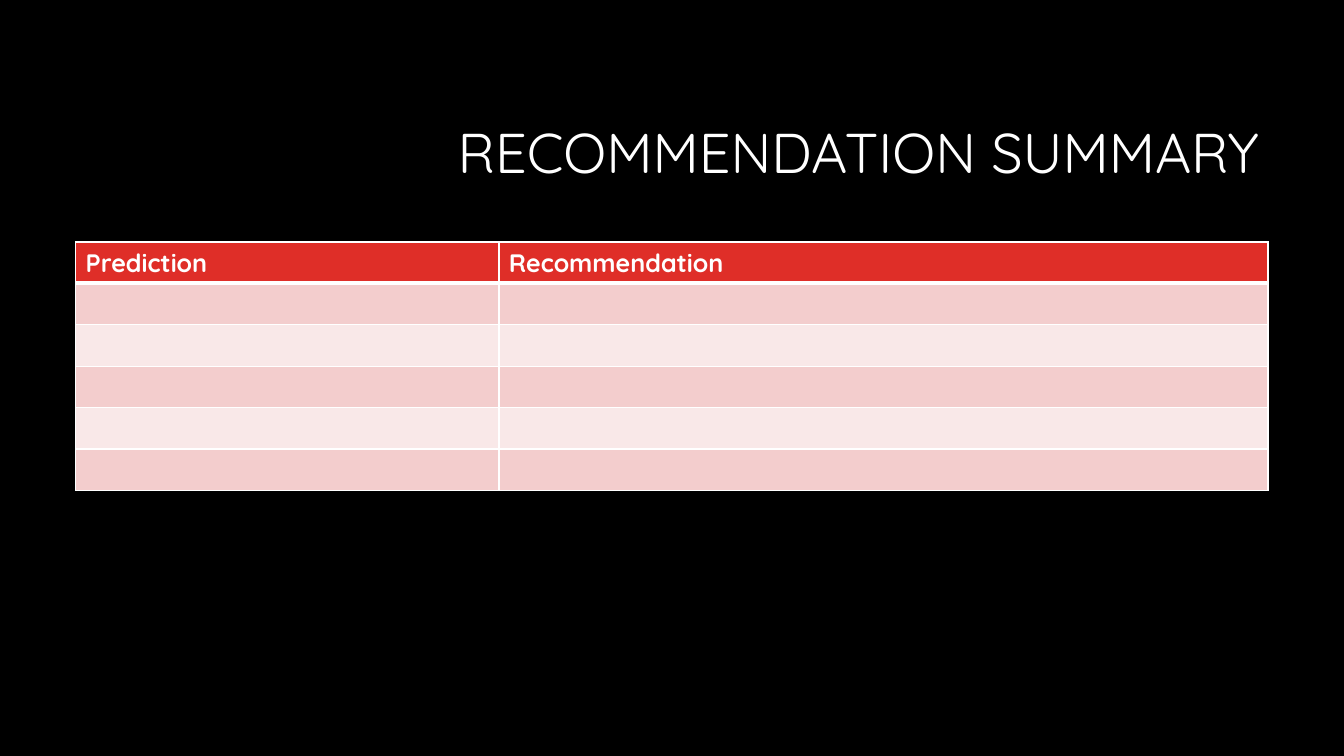
from dataclasses import dataclass
from typing import Any

from lxml.etree import SubElement
from pptx import Presentation
from pptx.dml.color import RGBColor as Color
from pptx.enum.text import MSO_ANCHOR as Anchor, PP_ALIGN as Align
from pptx.oxml.ns import qn
from pptx.util import Pt

COLORS = {
    "background": "000000",
    "white": "FFFFFF",
    "header": "DF2E28",
    "band_dark": "F3CDCD",
    "band_light": "F9E8E8",
}
FONT = "Quicksand"
HEADINGS = ("Prediction", "Recommendation")
COLUMN_WIDTHS = (302.4, 549.4)
ROW_HEIGHT = 29.6
THIN, THICK = 1, 3


@dataclass(frozen=True)
class Row:
    texts: tuple[str, ...]
    fill: str
    top_line: float = THIN
    bottom_line: float = THIN


ROWS = [
    Row(HEADINGS, "header", bottom_line=THICK),
    Row(("", ""), "band_dark", top_line=THICK),
    *(Row(("", ""), fill) for fill in ("band_light", "band_dark") * 2),
]


def set_attributes(target: Any, values: dict[str, Any]) -> None:
    for name, value in values.items():
        setattr(target, name, value)


def write_text(para: Any, text: str, size: float, bold: bool = False) -> None:
    span = para.add_run()
    span.text = text
    set_attributes(span.font, {"name": FONT, "size": Pt(size), "bold": bold})
    span.font.color.rgb = Color.from_string(COLORS["white"])


def add_title(page: Any, text: str) -> None:
    box = page.shapes.add_textbox(Pt(228.2), Pt(60.5), Pt(678.2), Pt(101.5))
    set_attributes(box.text_frame, {"word_wrap": True, "vertical_anchor": Anchor.MIDDLE})
    para = box.text_frame.paragraphs[0]
    set_attributes(para, {"alignment": Align.RIGHT, "line_spacing": 0.9})
    write_text(para, text, 40)


def draw_borders(cell: Any, row: Row) -> None:
    properties = cell._tc.get_or_add_tcPr()
    widths = {"lnL": THIN, "lnR": THIN, "lnT": row.top_line, "lnB": row.bottom_line}
    for tag, width in widths.items():
        line = SubElement(properties, qn(f"a:{tag}"), w=str(Pt(width)))
        fill = SubElement(line, qn("a:solidFill"))
        SubElement(fill, qn("a:srgbClr"), val=COLORS["white"])


def add_summary_table(page: Any, rows: list[Row]) -> None:
    frame = page.shapes.add_table(
        len(rows), len(COLUMN_WIDTHS), Pt(54), Pt(172.8),
        Pt(sum(COLUMN_WIDTHS)), Pt(ROW_HEIGHT * len(rows)),
    )
    table = frame.table
    for column, width in zip(table.columns, COLUMN_WIDTHS):
        column.width = Pt(width)
    for table_row, row in zip(table.rows, rows):
        table_row.height = Pt(ROW_HEIGHT)
        for cell, text in zip(table_row.cells, row.texts):
            draw_borders(cell, row)
            cell.fill.solid()
            cell.fill.fore_color.rgb = Color.from_string(COLORS[row.fill])
            if text:
                write_text(cell.text_frame.paragraphs[0], text, 18, bold=True)


def main() -> None:
    deck = Presentation()
    set_attributes(deck, {"slide_width": Pt(960), "slide_height": Pt(540)})
    page = deck.slides.add_slide(deck.slide_layouts[6])
    page.background.fill.solid()
    page.background.fill.fore_color.rgb = Color.from_string(COLORS["background"])
    add_title(page, "RECOMMENDATION SUMMARY")
    add_summary_table(page, ROWS)
    deck.save("out.pptx")


if __name__ == "__main__":
    main()
